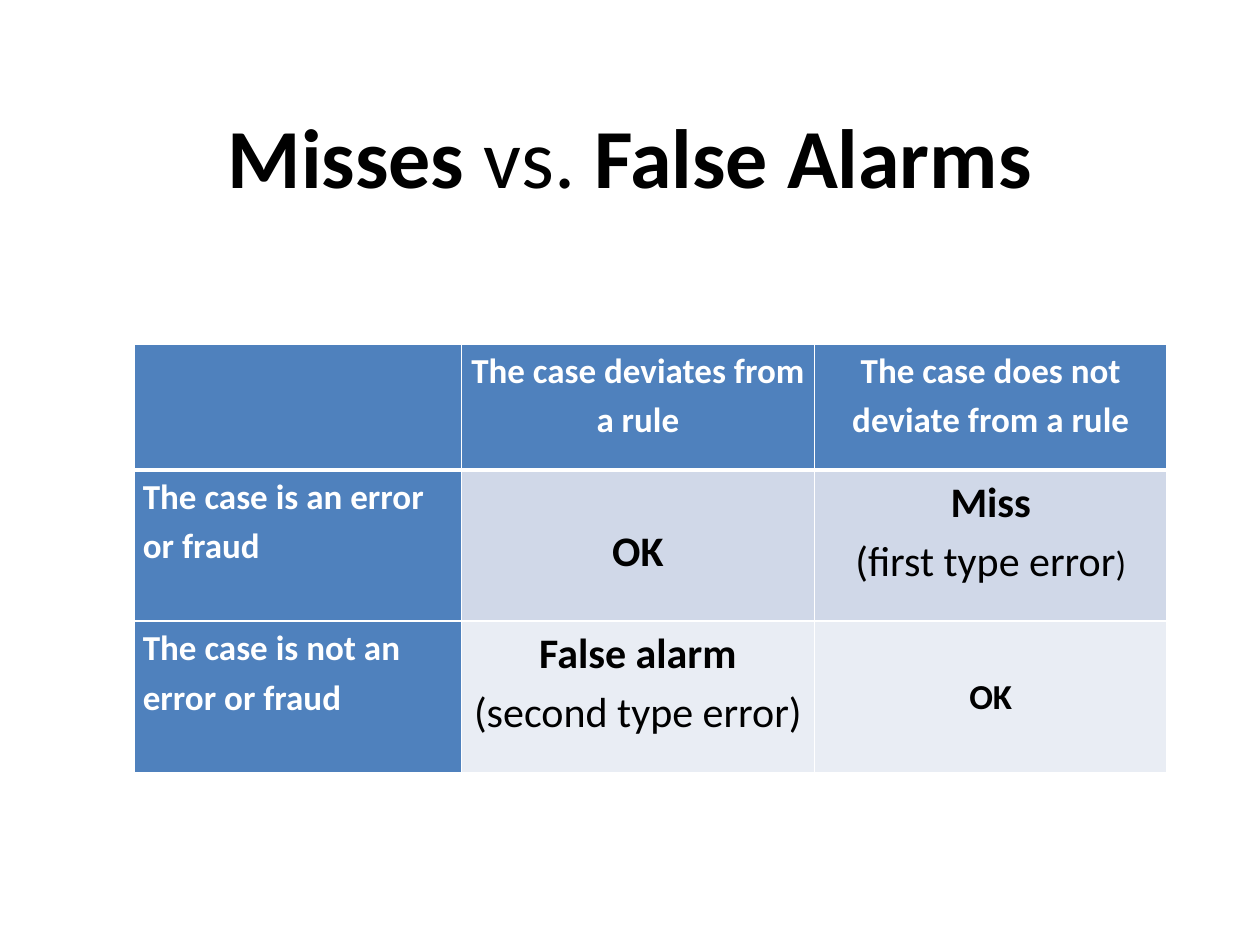
from lxml import etree
from pptx import Presentation
from pptx import util as u
from pptx.dml import color
from pptx.enum import text
from pptx.oxml import ns

BLUE, PALE, PALER = "4F81BD", "D0D8E8", "E9EDF4"
WHITE, BLACK = "FFFFFF", "000000"
CENTER, LEFT = text.PP_ALIGN.CENTER, text.PP_ALIGN.LEFT


def rgb(value):
    """Turn a hex string into a colour."""
    return color.RGBColor.from_string(value)


def write(frame, paragraphs, size=20, ink=BLACK, align=CENTER, spacing=1.15):
    """Fill a text frame with paragraphs of (wording, bold, optional size) runs."""
    for index, runs in enumerate(paragraphs):
        paragraph = frame.paragraphs[0] if index == 0 else frame.add_paragraph()
        paragraph.alignment, paragraph.line_spacing = align, spacing
        for wording, bold, *own_size in runs:
            run = paragraph.add_run()
            run.text = wording
            run.font.name, run.font.bold = "Calibri", bold
            run.font.size = u.Pt(own_size[0] if own_size else size)
            run.font.color.rgb = rgb(ink)


def format_cell(cell, fill, widths):
    """Give a cell white borders of the given widths, a fill and margins."""
    properties = cell._tc.get_or_add_tcPr()
    for side in ("L", "R", "T", "B"):
        line = etree.SubElement(properties, ns.qn("a:ln" + side),
                                w=str(u.Pt(widths.get(side, 1))))
        solid = etree.SubElement(line, ns.qn("a:solidFill"))
        etree.SubElement(solid, ns.qn("a:srgbClr"), val=WHITE)
    cell.fill.solid()
    cell.fill.fore_color.rgb = rgb(fill)
    cell.margin_left = cell.margin_right = u.Cm(0.18)
    cell.margin_top = cell.margin_bottom = 0


def place_title(slide, left, top, width, height):
    """Place the heading in the given box."""
    title = slide.shapes.title
    title.left, title.top, title.width, title.height = left, top, width, height
    title.text_frame.vertical_anchor = text.MSO_ANCHOR.MIDDLE
    write(title.text_frame,
          [[("Misses", True), (" vs. ", False), ("False Alarms", True)]],
          size=48, spacing=1.0)


def place_outcomes(slide, left, top, width, height):
    """Place the table of detection outcomes in the given box."""
    headings = ["", "The case deviates from a rule",
                "The case does not deviate from a rule"]
    miss = [[("Miss", True)], [("(first type error", False), (")", False, 20)]]
    false_alarm = [[("False alarm", True)], [("(second type error)", False)]]
    outcomes = [
        ("The case is an error or fraud", PALE, [[("OK", True)]], miss),
        ("The case is not an error or fraud", PALER, false_alarm,
         [[("OK", True, 20)]]),
    ]
    table = slide.shapes.add_table(3, 3, left, top, width, height).table
    for column, share in zip(table.columns, (2.6, 2.8, 2.8)):
        column.width = int(width * share / 8.2)
    for row, share in zip(table.rows, (1, 1.2, 1.2)):
        row.height = int(height * share / 3.4)

    for column, heading in enumerate(headings):
        cell = table.cell(0, column)
        format_cell(cell, BLUE, {"B": 3})
        if heading:
            write(cell.text_frame, [[(heading, True)]], ink=WHITE)
    for row, (case, tint, *results) in enumerate(outcomes, start=1):
        widths = {"T": 3} if row == 1 else {}
        case_cell = table.cell(row, 0)
        format_cell(case_cell, BLUE, widths)
        write(case_cell.text_frame, [[(case, True)]], ink=WHITE, align=LEFT)
        for column, result in enumerate(results, start=1):
            cell = table.cell(row, column)
            format_cell(cell, tint, widths)
            if len(result) == 1:
                cell.margin_top = u.Cm(0.99)
            write(cell.text_frame, result, size=24)


def main():
    """Build and save the slide."""
    deck = Presentation()
    deck.slide_width, deck.slide_height = u.Cm(25.4), u.Cm(19.05)
    slide = deck.slides.add_slide(deck.slide_layouts[5])
    place_title(slide, u.Cm(2.5), u.Cm(1.93), u.Cm(20.4), u.Cm(2.4))
    place_outcomes(slide, u.Cm(2.7), u.Cm(6.93), u.Cm(20.83), u.Cm(8.64))
    deck.save("out.pptx")


main()
